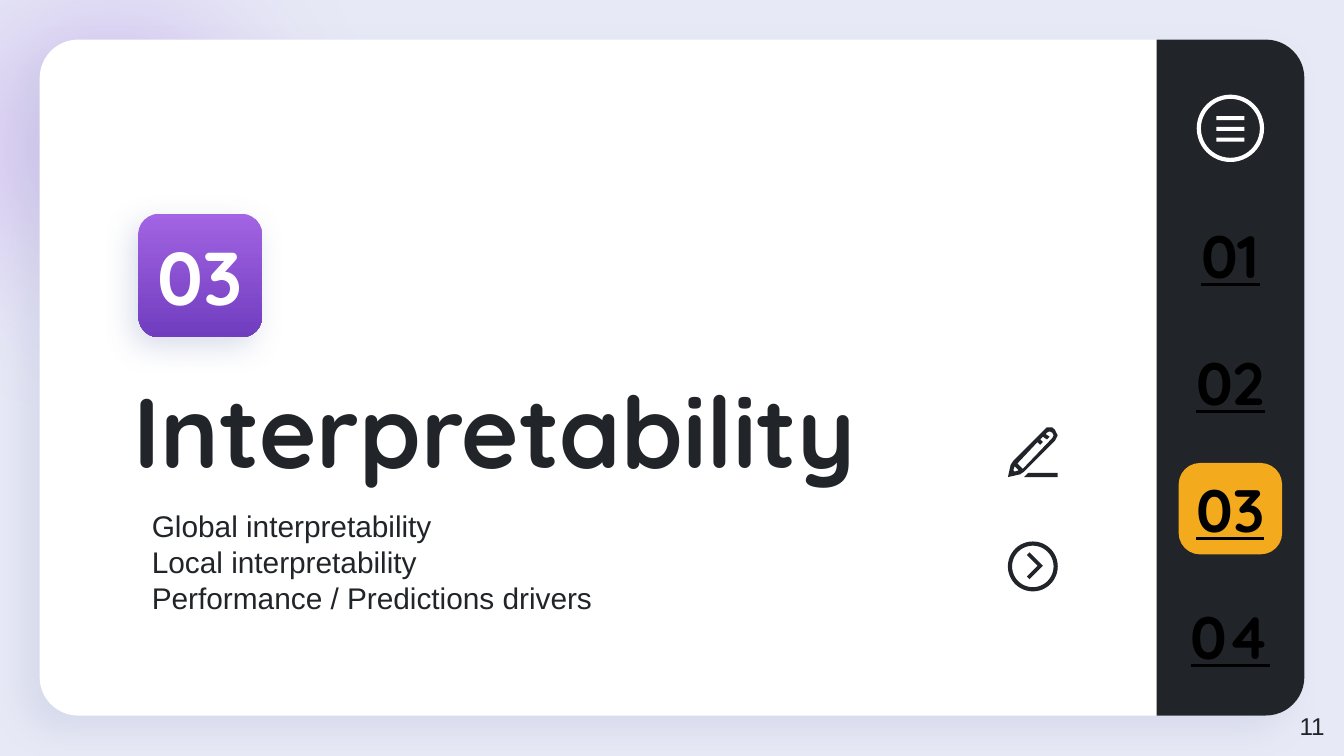
import pptx
import pptx.util
import pptx.oxml
import pptx.oxml.ns
import pptx.dml.color
import pptx.enum.shapes
import pptx.enum.text

RGB = pptx.dml.color.RGBColor
KIND = pptx.enum.shapes.MSO_SHAPE
ALIGN = pptx.enum.text.PP_ALIGN
ANCHOR = pptx.enum.text.MSO_ANCHOR
Pt = pptx.util.Pt
qn = pptx.oxml.ns.qn
NS = pptx.oxml.ns.nsdecls("a")

INK = RGB(0x21, 0x24, 0x28)
WHITE = RGB(0xFF, 0xFF, 0xFF)
BLACK = RGB(0, 0, 0)
MIST = RGB(0xE7, 0xE9, 0xF6)
LILAC = RGB(0xA2, 0x64, 0xE3)
PLUM = RGB(0x70, 0x3D, 0xBF)
AMBER = RGB(0xF4, 0xAA, 0x1D)
HAZE = RGB(0xC7, 0xCC, 0xE2)

deck = pptx.Presentation()
deck.slide_width = pptx.util.Inches(10)
deck.slide_height = deck.slide_width * 9 // 16
col = deck.slide_width / 100
row = deck.slide_height / 56.25
slide = deck.slides.add_slide(deck.slide_layouts[1])
shapes = slide.shapes
slide.background.fill.solid()
slide.background.fill.fore_color.rgb = MIST


def draw(kind, x, y, w, h, fill=None, line=None, width=2.25, adj=()):
    part = shapes.add_shape(kind, int(x * col), int(y * row), int(w * col), int(h * row))
    part.shadow.inherit = False
    for i, value in enumerate(adj):
        part.adjustments[i] = value
    for paint, tint in ((part.fill, fill), (part.line.fill, line)):
        if tint is None:
            paint.background()
        else:
            paint.solid()
            paint.fore_color.rgb = tint
    if line is not None:
        part.line.width = Pt(width)
    return part


def write(box, place, lines, looks, tint, align=ALIGN.LEFT, anchor=ANCHOR.TOP, pads=(1, 1)):
    x, y, w, h = place
    box.left, box.top, box.width, box.height = int(x * col), int(y * row), int(w * col), int(h * row)
    frame = box.text_frame
    frame.text = "\n".join(lines)
    form = {"word_wrap": True, "auto_size": pptx.enum.text.MSO_AUTO_SIZE.NONE,
            "vertical_anchor": anchor, "margin_left": int(col), "margin_right": int(col),
            "margin_top": int(pads[0] * row), "margin_bottom": int(pads[1] * row)}
    for key, value in form.items():
        setattr(frame, key, value)
    for para in frame.paragraphs:
        para.alignment = align
        para.line_spacing = 1.0
        para.space_before = Pt(0)
        props = para._p.get_or_add_pPr()
        props.set("marL", "0")
        props.set("indent", "0")
        props.append(pptx.oxml.parse_xml(f"<a:buNone {NS}/>"))
        for key, value in looks.items():
            setattr(para.runs[0].font, key, value)
        para.runs[0].font.color.rgb = tint


glow = draw(KIND.OVAL, -15, -12.2, 46.6, 46.6)
props = glow.element.spPr
props.remove(props.find(qn("a:noFill")))
stops = "".join(
    f'<a:gs pos="{pos}000"><a:srgbClr val="{tint}"><a:alpha val="{alpha}000"/></a:srgbClr></a:gs>'
    for pos, tint, alpha in ((0, LILAC, 49), (62, MIST, 0), (100, WHITE, 0)))
props.insert(2, pptx.oxml.parse_xml(
    f'<a:gradFill {NS}><a:gsLst>{stops}</a:gsLst><a:path path="circle">'
    '<a:fillToRect l="50000" t="50000" r="50000" b="50000"/></a:path></a:gradFill>'))

card = draw(KIND.ROUNDED_RECTANGLE, 2.95, 2.95, 94.1, 50.3, WHITE, adj=[0.057])
side = draw(KIND.ROUND_2_SAME_RECTANGLE, 66.4, 22.6, 50.3, 11, INK, adj=[0.261, 0])
side.rotation = 90
badge = draw(KIND.ROUNDED_RECTANGLE, 10.3, 15.9, 9.2, 9.2, LILAC, adj=[0.167])
badge.fill.gradient()
badge.fill.gradient_angle = 270
for stop, pos, tint in zip(badge.fill.gradient_stops, (0, 1), (LILAC, PLUM)):
    stop.position = pos
    stop.color.rgb = tint

for part, alpha, blur, dist, turn in ((card, 47, 16.9, 12, 137), (badge, 63, 15.8, 6, 128)):
    part.element.spPr.find(qn("a:effectLst")).append(pptx.oxml.parse_xml(
        f'<a:outerShdw {NS} blurRad="{Pt(blur)}" dist="{Pt(dist)}" dir="{turn * 60000}" '
        f'algn="bl" rotWithShape="0"><a:srgbClr val="{HAZE}"><a:alpha val="{alpha}000"/>'
        '</a:srgbClr></a:outerShdw>'))

pencil = [
    [(781, 321), (783, 322), (784, 324), (783, 326), (761, 349), (757, 345), (772, 329),
     (774, 331), (776, 329), (774, 327), (776, 325), (779, 327), (781, 325), (778, 323), (779, 322)],
    [(755, 347), (758, 350), (755, 351), (754, 350)],
    [(781, 318), (779, 318.5), (777, 320), (754, 343), (752, 346), (750, 355), (759, 353),
     (762, 351), (785, 328), (786.5, 326), (787, 324), (786.5, 322), (785, 320), (783, 318.5)],
    [(765, 352), (762, 355), (787, 355), (787, 352)]]
arrow = [[(766, 411), (776, 421), (766, 431), (764, 429), (772, 421), (764, 413)]]
for icon in (pencil, arrow):
    pen = shapes.build_freeform(*icon[0][0], scale=col / 10)
    for i, loop in enumerate(icon):
        if i:
            pen.move_to(*loop[0])
        pen.add_line_segments(loop[1:], close=True)
    mark = pen.convert_to_shape()
    mark.shadow.inherit = False
    mark.fill.solid()
    mark.fill.fore_color.rgb = INK
    mark.line.fill.background()
draw(KIND.OVAL, 75.15, 40.45, 3.4, 3.4, line=INK)

draw(KIND.OVAL, 89.2, 7.2, 4.7, 4.7, line=WHITE)
for i in range(3):
    draw(KIND.RECTANGLE, 90.5, 8.65 + 0.8 * i, 2.1, 0.3, WHITE)

title, body = shapes.title, slide.placeholders[1]
for holder in (title, body):
    shapes.element.append(holder.element)
bold = {"name": "Quicksand", "bold": True}
plain = {"name": "Arial", "bold": False}
write(title, (8.9, 27.5, 64.8, 9.9), ["Interpretability"], {**bold, "size": Pt(53)}, INK, pads=(0, 1))
write(body, (10.3, 36.8, 42, 16.1),
      ["Global interpretability", "Local interpretability", "Performance / Predictions drivers"],
      {**plain, "size": Pt(16)}, INK)
write(shapes.add_textbox(0, 0, 0, 0), (10.3, 17.8, 9.2, 5.4), ["03"], {**bold, "size": Pt(40)},
      WHITE, ALIGN.CENTER, ANCHOR.MIDDLE, (0, 0))

draw(KIND.ROUNDED_RECTANGLE, 87.7, 34.45, 7.7, 6.8, AMBER, adj=[0.234])
for i in range(4):
    write(shapes.add_textbox(0, 0, 0, 0), (87.55, 16.25 + 9.45 * i, 8, 5.4), [f"0{i + 1}"],
          {**bold, "size": Pt(32), "underline": True}, BLACK, ALIGN.CENTER, ANCHOR.MIDDLE, (0, 0))
write(shapes.add_textbox(0, 0, 0, 0), (93.55, 51.95, 6, 4.3), ["11"], {**plain, "size": Pt(13)},
      INK, ALIGN.RIGHT)

deck.save("out.pptx")
